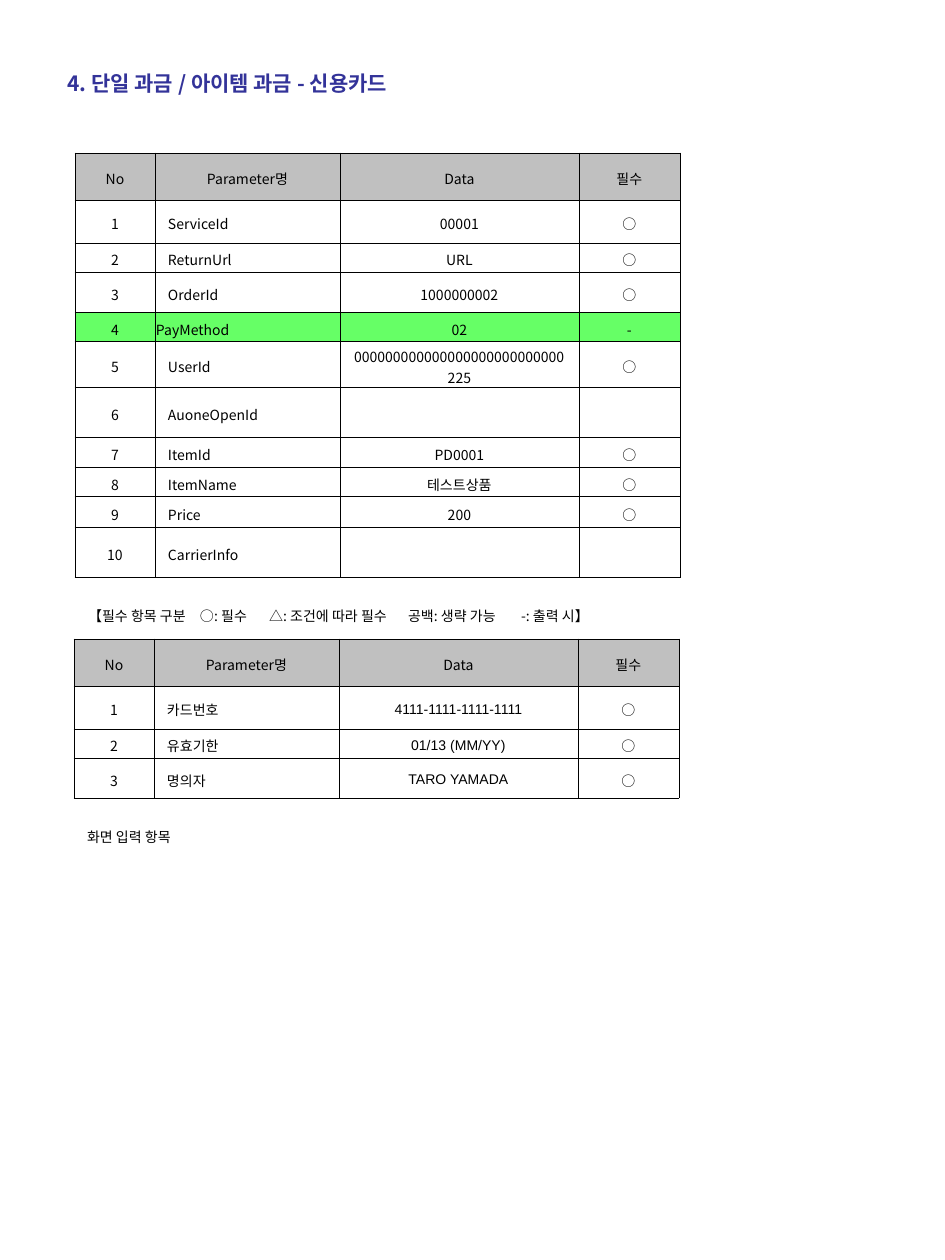
import pptx
import pptx.util
import pptx.dml.color
import pptx.enum.text
import pptx.oxml
import pptx.oxml.ns

SCALE = 914400 / 126
SANS = "Noto Sans CJK KR"
PLAIN = "{2D5ABB26-0587-4C30-8999-92F81FD0307C}"
COLS = [80, 185, 239, 101]
HEAD = ["No", "Parameter명", "Data", "필수"]
PARAMS = [
    (43, "ServiceId", "00001", "○"),
    (29, "ReturnUrl", "URL", "○"),
    (40, "OrderId", "1000000002", "○"),
    (30, "PayMethod", "02", "-"),
    (46, "UserId", "000000000000000000000000000225", "○"),
    (50, "AuoneOpenId", "", ""),
    (30, "ItemId", "PD0001", "○"),
    (29, "ItemName", "테스트상품", "○"),
    (31, "Price", "200", "○"),
    (50, "CarrierInfo", "", ""),
]
CARD = [
    (43, "카드번호", "4111-1111-1111-1111", "○"),
    (29, "유효기한", "01/13 (MM/YY)", "○"),
    (40, "명의자", "TARO YAMADA", "○"),
]
LEGEND = "【필수 항목 구분\u3000○: 필수\t△: 조건에 따라 필수\t공백: 생략 가능\t-: 출력 시】".replace("\\u3000", "　")


def px(n):
    """Turn px into EMU."""
    return pptx.util.Emu(round(n * SCALE))


def rgb(code):
    """Turn a hex string into a colour."""
    return pptx.dml.color.RGBColor.from_string(code)


def node(tag, **attrs):
    """Make a drawing element."""
    item = pptx.oxml.parse_xml(f"<a:{tag} {pptx.oxml.ns.nsdecls('a')}/>")
    for key, value in attrs.items():
        item.set(key, str(value))
    return item


def style(para, size, color="000000", face=SANS, bold=False):
    """Format the runs of a paragraph."""
    for run in para.runs:
        font = run.font
        font.size, font.bold, font.name = pptx.util.Pt(size), bold, face
        font.color.rgb = rgb(color)
        font._element.find(pptx.oxml.ns.qn("a:latin")).addnext(node("ea", typeface=SANS))


def edge(cell, sides):
    """Draw thin black lines on the given sides of a cell."""
    props = cell._tc.get_or_add_tcPr()
    for spot, side in enumerate(sides):
        line = node("ln" + side, w=5715)
        fill = node("solidFill")
        fill.append(node("srgbClr", val="000000"))
        line.append(fill)
        props.insert(spot, line)


def put(cell, text, center=True, fill=None, pad=13, face=SANS, sides="LRTB"):
    """Fill one table cell."""
    cell.margin_left = cell.margin_right = px(pad)
    cell.margin_top, cell.margin_bottom = px(4), px(0)
    cell.vertical_anchor = pptx.enum.text.MSO_ANCHOR.MIDDLE
    if fill:
        cell.fill.solid()
        cell.fill.fore_color.rgb = rgb(fill)
    else:
        cell.fill.background()
    edge(cell, sides)
    if text:
        para = cell.text_frame.paragraphs[0]
        para.text = text
        align = pptx.enum.text.PP_ALIGN
        para.alignment = align.CENTER if center else align.LEFT
        style(para, 8, face=face)


def grid(slide, left, top, rows, note, stops=(), face=SANS, mark=None):
    """Place a parameter table with a note row below it."""
    sizes = [47] + [row[0] for row in rows] + [72]
    table = slide.shapes.add_table(
        len(sizes), len(COLS), px(left), px(top), px(sum(COLS)), px(sum(sizes))).table
    table.first_row = table.horz_banding = False
    table._tbl.tblPr.find(pptx.oxml.ns.qn("a:tableStyleId")).text = PLAIN
    for col, wide in zip(table.columns, COLS):
        col.width = px(wide)
    for row, high in zip(table.rows, sizes):
        row.height = px(high)
    for c, text in enumerate(HEAD):
        put(table.cell(0, c), text, fill="C0C0C0")
    for r, row in enumerate(rows, 1):
        lit = row[1] == mark
        for c, text in enumerate([str(r), *row[1:]]):
            put(table.cell(r, c), text, c != 1, "66FF66" if lit else None,
                1 if lit else 13, face if c == 2 else SANS)
    last = table.cell(len(sizes) - 1, 0)
    last.merge(table.cell(len(sizes) - 1, len(COLS) - 1))
    put(last, note, center=False, sides="T")
    if stops:
        tabs = node("tabLst")
        for stop in stops:
            tabs.append(node("tab", pos=px(stop), algn="l"))
        last.text_frame.paragraphs[0]._p.get_or_add_pPr().append(tabs)


def title(slide, left, top, width, height):
    """Place the slide heading."""
    frame = slide.shapes.add_textbox(px(left), px(top), px(width), px(height)).text_frame
    frame.word_wrap = True
    frame.text = "4. 단일 과금 / 아이템 과금 - 신용카드"
    style(frame.paragraphs[0], 12, "333399", bold=True)


def main():
    """Build and save the slide."""
    deck = pptx.Presentation()
    deck.slide_width, deck.slide_height = px(945), px(1260)
    slide = deck.slides.add_slide(deck.slide_layouts[6])
    title(slide, 55, 64, 746, 63)
    grid(slide, 75, 153, PARAMS, LEGEND, (181, 320, 433), mark="PayMethod")
    grid(slide, 74, 639, CARD, "화면 입력 항목", face="Arial")
    deck.save("out.pptx")


if __name__ == "__main__":
    main()
